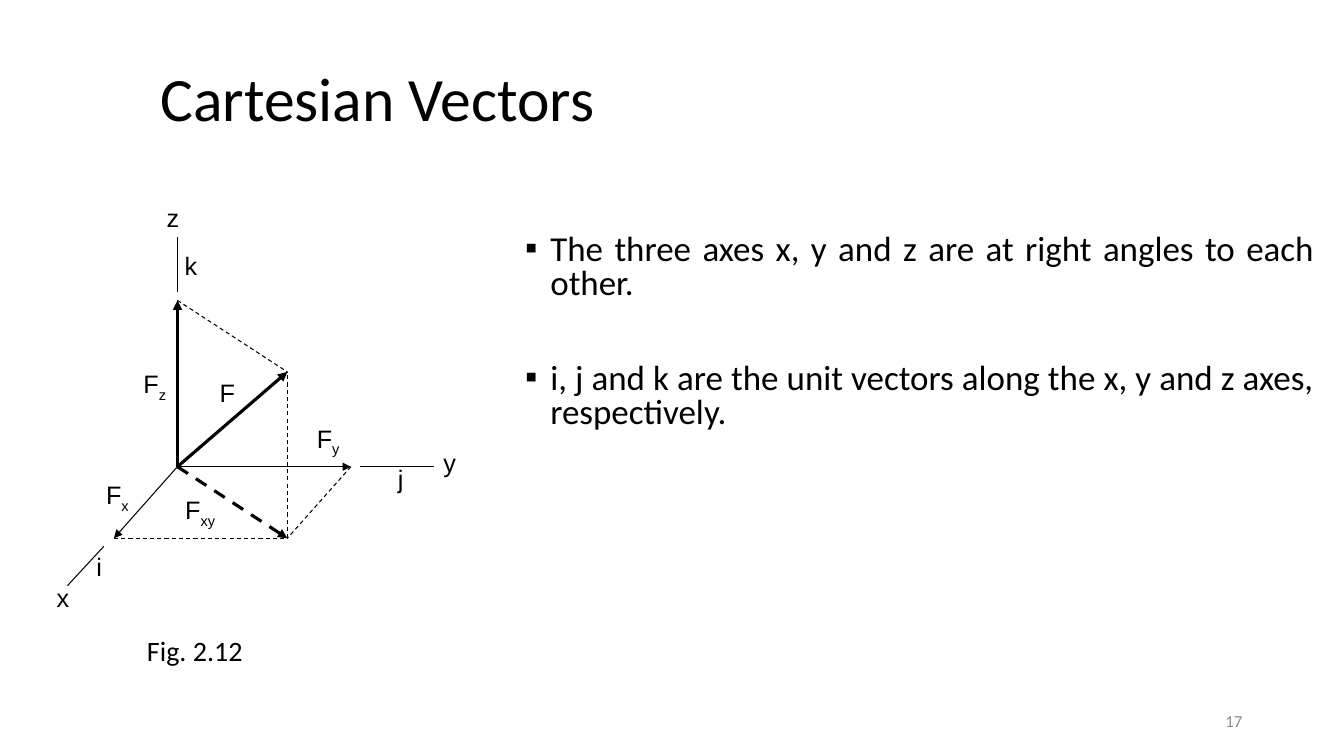
"""Build the Cartesian vectors slide with its force diagram."""
from dataclasses import dataclass
from typing import NamedTuple

from lxml import etree
from pptx import Presentation, util as u
from pptx.dml.color import RGBColor
from pptx.enum import dml, shapes, text
from pptx.oxml import ns

HUES = {"ink": "000000", "page": "8C8C8C"}
CELL = u.Inches(0.1)
THIN, BOLD = 0.75, 2.25
LEFT, MID, RIGHT = text.PP_ALIGN.LEFT, text.PP_ALIGN.CENTER, text.PP_ALIGN.RIGHT


class Spot(NamedTuple):
    col: float
    row: float


class Area(NamedTuple):
    col: float
    row: float
    wide: float
    high: float


@dataclass
class Edge:
    start: Spot
    end: Spot
    width: float = THIN
    dash: bool = False
    arrow: bool = False


@dataclass
class Label:
    col: float
    row: float
    name: str
    sub: str = ""
    align: text.PP_ALIGN = MID


@dataclass
class Note:
    area: Area
    words: str
    size: float
    hue: str = "ink"
    align: text.PP_ALIGN = LEFT
    wrap: bool = False
    anchor: text.MSO_ANCHOR = text.MSO_ANCHOR.TOP


def span(base: Spot, one: Spot, two: Spot) -> Spot:
    """Return the far corner of the parallelogram on two points."""
    return Spot(one.col + two.col - base.col, one.row + two.row - base.row)


ROOT, X, Y, Z = Spot(17.6, 46.3), Spot(11.3, 53.4), Spot(34.8, 46.3), Spot(17.6, 29.8)
XY = span(ROOT, X, Y)
F = span(ROOT, XY, Z)

EDGES = [
    Edge(Spot(17.6, 29), Spot(17.6, 23.5)),
    Edge(Spot(10.3, 54.2), Spot(6.7, 58.1)),
    Edge(Spot(35.7, 46.3), Spot(43, 46.3)),
    Edge(ROOT, X, arrow=True),
    Edge(ROOT, Y, arrow=True),
    Edge(ROOT, XY, BOLD, dash=True, arrow=True),
    Edge(XY, F, dash=True),
    Edge(ROOT, F, BOLD, arrow=True),
    Edge(X, XY, dash=True),
    Edge(Y, XY, dash=True),
    Edge(ROOT, Z, BOLD, arrow=True),
    Edge(Z, F, dash=True),
]

LABELS = [
    Label(14, 19.6, "z"),
    Label(3.1, 57.3, "x"),
    Label(43, 43.9, "y", align=LEFT),
    Label(12.2, 36.1, "F", "z"),
    Label(29.4, 41.5, "F", "y"),
    Label(8.5, 47.1, "F", "x"),
    Label(19.4, 36.9, "F"),
    Label(16.7, 48.6, "F", "xy"),
    Label(15.8, 24.3, "k"),
    Label(36.6, 45.5, "j"),
    Label(6.7, 54.2, "i"),
]

TITLE = Note(Area(14.9, 5.4, 45.6, 8.4), "Cartesian Vectors", 44)
NOTES = [
    Note(Area(94.2, 69.5, 30, 4), "17", 12, "page", RIGHT, True, text.MSO_ANCHOR.MIDDLE),
    Note(Area(13.6, 62.4, 11.6, 4.4), "Fig. 2.12", 20),
]
BODY = Area(51.1, 22.8, 80.2, 27)
POINTS = [
    "The three axes x, y and z are at right angles to each other.",
    "i, j and k are the unit vectors along the x, y and z axes, respectively.",
]


def grid(*parts: float) -> list[int]:
    """Turn grid counts into lengths."""
    return [round(part * CELL) for part in parts]


def add_run(para, words: str, size: float, face: str = "Calibri", hue: str = "ink"):
    """Add one styled run and return it."""
    run = para.add_run()
    run.text = words
    run.font.size, run.font.name = u.Pt(size), face
    run.font.color.rgb = RGBColor.from_string(HUES[hue])
    return run


def draw_edge(group, edge: Edge) -> None:
    """Draw one line or arrow of the diagram."""
    line = group.shapes.add_connector(
        shapes.MSO_CONNECTOR.STRAIGHT, *grid(*edge.start, *edge.end))
    line.line.width = u.Pt(edge.width)
    line.line.color.rgb = RGBColor.from_string(HUES["ink"])
    if edge.dash:
        line.line.dash_style = dml.MSO_LINE.DASH
    if edge.arrow:
        stroke = line.line._get_or_add_ln()
        etree.SubElement(stroke, ns.qn("a:tailEnd"), type="triangle")
    etree.SubElement(line._element.spPr, ns.qn("a:effectLst"))


def draw_label(group, label: Label) -> None:
    """Draw one letter with its subscript."""
    frame = group.shapes.add_textbox(*grid(label.col, label.row, 6.3, 4)).text_frame
    frame.word_wrap = True
    para = frame.paragraphs[0]
    para.alignment = label.align
    add_run(para, label.name, 18, "Arial")
    if label.sub:
        run = add_run(para, label.sub, 18, "Arial")
        run.font._element.set("baseline", "-25000")


def fill_note(shape, note: Note) -> None:
    """Place a shape and write its single line."""
    shape.left, shape.top, shape.width, shape.height = grid(*note.area)
    frame = shape.text_frame
    frame.auto_size = text.MSO_AUTO_SIZE.NONE
    frame.word_wrap, frame.vertical_anchor = note.wrap, note.anchor
    para = frame.paragraphs[0]
    para.alignment = note.align
    add_run(para, note.words, note.size, hue=note.hue)


def draw_body(slide) -> None:
    """Write the bulleted points."""
    frame = slide.shapes.add_textbox(*grid(*BODY)).text_frame
    frame.word_wrap = True
    for rank, words in enumerate(POINTS):
        para = frame.add_paragraph() if rank else frame.paragraphs[0]
        props = para._p.get_or_add_pPr()
        props.set("marL", str(u.Inches(0.25)))
        props.set("indent", str(-u.Inches(0.25)))
        etree.SubElement(props, ns.qn("a:buFont"), typeface="Arial")
        etree.SubElement(props, ns.qn("a:buChar"), char="▪")
        para.alignment = text.PP_ALIGN.JUSTIFY
        para.line_spacing = 0.8
        para.space_before = u.Pt(44.4 if rank else 0)
        add_run(para, words, 25)


def main() -> None:
    """Build and save the deck."""
    deck = Presentation()
    deck.slide_width, deck.slide_height = u.Inches(13.33), u.Inches(7.5)
    slide = deck.slides.add_slide(deck.slide_layouts[5])
    fill_note(slide.shapes.title, TITLE)
    draw_body(slide)
    group = slide.shapes.add_group_shape()
    for edge in EDGES:
        draw_edge(group, edge)
    for label in LABELS:
        draw_label(group, label)
    for note in NOTES:
        fill_note(slide.shapes.add_textbox(*grid(*note.area)), note)
    deck.save("out.pptx")


if __name__ == "__main__":
    main()
